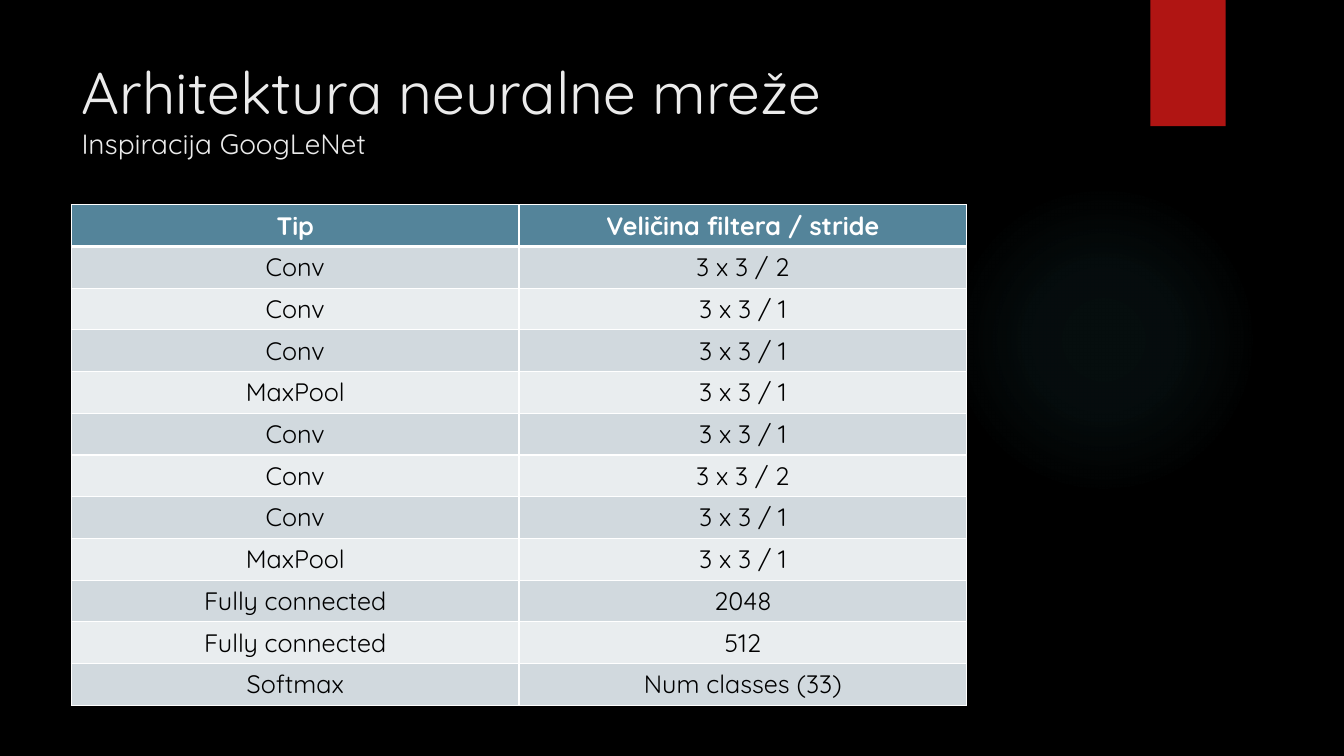
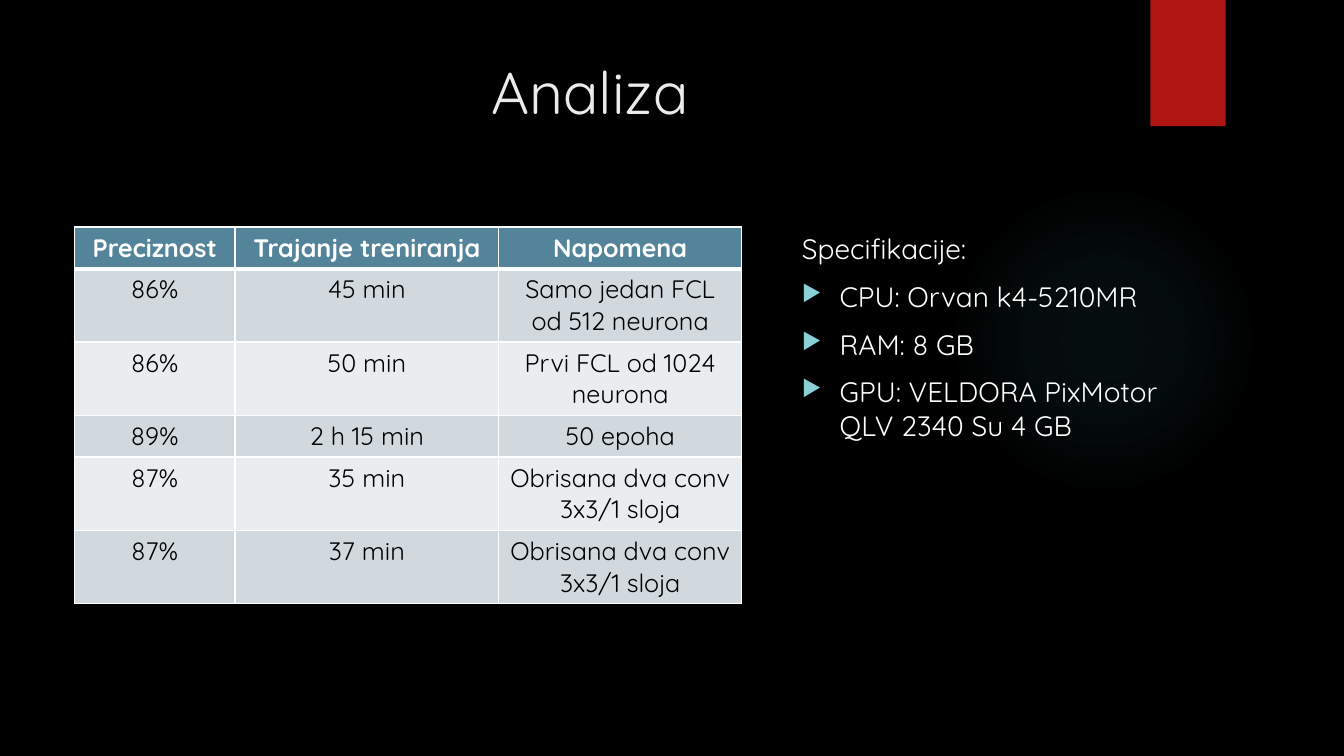
from lxml import etree
from pptx import Presentation
from pptx.dml.color import RGBColor
from pptx.enum.shapes import MSO_SHAPE
from pptx.enum.text import MSO_ANCHOR, MSO_AUTO_SIZE, PP_ALIGN
from pptx.oxml import parse_xml
from pptx.oxml.ns import nsdecls, qn
from pptx.util import Cm, Pt

LEFT, CENTER = PP_ALIGN.LEFT, PP_ALIGN.CENTER
TOP = MSO_ANCHOR.TOP
NO_AUTOFIT = MSO_AUTO_SIZE.NONE
OVAL, RECTANGLE = MSO_SHAPE.OVAL, MSO_SHAPE.RECTANGLE

BLACK = RGBColor(0x00, 0x00, 0x00)
WHITE = RGBColor(0xFF, 0xFF, 0xFF)
TITLE_GRAY = RGBColor(0xEB, 0xEB, 0xEB)
RED = RGBColor(0xB0, 0x15, 0x13)
GLOW = RGBColor(0x50, 0xB9, 0xC1)
BULLET = RGBColor(0x8A, 0xD0, 0xD6)
HEADER = RGBColor(0x54, 0x84, 0x9A)
STRIPES = (RGBColor(0xD1, 0xD9, 0xDE), RGBColor(0xE9, 0xED, 0xEF))

FONT = "Quicksand"
TITLE_ONLY = 5
ROW_HEIGHT = Cm(1.03)
GLOW_STOPS = ((0, 7), (36, 6), (69, 0))

LAYERS = (
    ("Tip", "Veličina filtera / stride"),
    ("Conv", "3 x 3 / 2"),
    ("Conv", "3 x 3 / 1"),
    ("Conv", "3 x 3 / 1"),
    ("MaxPool", "3 x 3 / 1"),
    ("Conv", "3 x 3 / 1"),
    ("Conv", "3 x 3 / 2"),
    ("Conv", "3 x 3 / 1"),
    ("MaxPool", "3 x 3 / 1"),
    ("Fully connected", "2048"),
    ("Fully connected", "512"),
    ("Softmax", "Num classes (33)"),
)
RESULTS = (
    ("Preciznost", "Trajanje treniranja", "Napomena"),
    ("86%", "45 min", "Samo jedan FCL od 512 neurona"),
    ("86%", "50 min", "Prvi FCL od 1024 neurona"),
    ("89%", "2 h 15 min", "50 epoha"),
    ("87%", "35 min", "Obrisana dva conv 3x3/1 sloja"),
    ("87%", "37 min", "Obrisana dva conv 3x3/1 sloja"),
)
SPECIFICATIONS = (
    "CPU: Orvan k4-5210MR",
    "RAM: 8 GB",
    "GPU: VELDORA PixMotor QLV 2340 Su 4 GB",
)


class Deck:
    def __init__(self):
        self.presentation = Presentation()
        self.presentation.slide_width = Cm(33.87)
        self.presentation.slide_height = Cm(19.05)
        background = self.presentation.slide_master.background.fill
        background.solid()
        background.fore_color.rgb = BLACK
        self.slide = None

    def style(self, paragraph, size, color, alignment=LEFT, bold=False):
        paragraph.alignment = alignment
        for run in paragraph.runs:
            run.font.name = FONT
            run.font.size = Pt(size)
            run.font.bold = bold
            run.font.color.rgb = color

    def add_slide(self, title, subtitle=None, alignment=LEFT):
        layout = self.presentation.slide_layouts[TITLE_ONLY]
        self.slide = self.presentation.slides.add_slide(layout)
        self.add_glow()
        self.add_ribbon()
        shape = self.slide.shapes.title
        shape.left, shape.top = Cm(1.8), Cm(1.27)
        shape.width, shape.height = Cm(26.14), Cm(3.89)
        frame = shape.text_frame
        frame.text = title
        frame.vertical_anchor = TOP
        frame.auto_size = NO_AUTOFIT
        self.style(frame.paragraphs[0], 42, TITLE_GRAY, alignment)
        if subtitle:
            paragraph = frame.add_paragraph()
            paragraph.text = subtitle
            self.style(paragraph, 20, TITLE_GRAY, alignment)

    def add_backdrop(self, kind, left, top, width, height):
        shape = self.slide.shapes.add_shape(kind, left, top, width, height)
        shape.shadow.inherit = False
        shape.line.fill.background()
        self.slide.shapes.title.element.addprevious(shape.element)
        return shape

    def add_glow(self):
        glow = self.add_backdrop(OVAL, Cm(23.9), Cm(4.65), Cm(7.82), Cm(7.82))
        stops = "".join(
            f'<a:gs pos="{position * 1000}"><a:srgbClr val="{GLOW}">'
            f'<a:alpha val="{opacity * 1000}"/></a:srgbClr></a:gs>'
            for position, opacity in GLOW_STOPS
        )
        gradient = parse_xml(
            f'<a:gradFill {nsdecls("a")}><a:gsLst>{stops}</a:gsLst>'
            '<a:path path="circle"><a:fillToRect l="50000" t="50000" '
            'r="50000" b="50000"/></a:path></a:gradFill>'
        )
        glow.element.spPr.find(qn("a:prstGeom")).addnext(gradient)

    def add_ribbon(self):
        ribbon = self.add_backdrop(RECTANGLE, Cm(28.99), 0, Cm(1.9), Cm(3.18))
        ribbon.fill.solid()
        ribbon.fill.fore_color.rgb = RED

    def add_borders(self, cell, top, bottom):
        properties = cell._tc.get_or_add_tcPr()
        for side, width in (("L", 1), ("R", 1), ("T", top), ("B", bottom)):
            properties.append(parse_xml(
                f'<a:ln{side} {nsdecls("a")} w="{Pt(width)}"><a:solidFill>'
                f'<a:srgbClr val="{WHITE}"/></a:solidFill></a:ln{side}>'
            ))

    def add_table(self, left, top, widths, rows):
        table = self.slide.shapes.add_table(
            len(rows), len(widths), left, top, sum(widths), ROW_HEIGHT * len(rows)
        ).table
        for column, width in zip(table.columns, widths):
            column.width = width
        for row_index, texts in enumerate(rows):
            table.rows[row_index].height = ROW_HEIGHT
            is_header = row_index == 0
            fill_color = HEADER if is_header else STRIPES[(row_index - 1) % 2]
            text_color = WHITE if is_header else BLACK
            for column_index, text in enumerate(texts):
                cell = table.cell(row_index, column_index)
                self.add_borders(cell, 3 if row_index == 1 else 1, 3 if is_header else 1)
                cell.fill.solid()
                cell.fill.fore_color.rgb = fill_color
                cell.text_frame.text = text
                self.style(cell.text_frame.paragraphs[0], 18, text_color, CENTER, is_header)

    def add_bullet(self, paragraph):
        properties = paragraph._p.get_or_add_pPr()
        properties.set("marL", str(Cm(0.95)))
        properties.set("indent", str(-Cm(0.95)))
        color = etree.SubElement(properties, qn("a:buClr"))
        etree.SubElement(color, qn("a:srgbClr"), val=str(BULLET))
        etree.SubElement(properties, qn("a:buSzPct"), val="80000")
        etree.SubElement(properties, qn("a:buChar"), char="▶")

    def add_list(self, left, top, width, height, heading, items):
        frame = self.slide.shapes.add_textbox(left, top, width, height).text_frame
        frame.word_wrap = True
        frame.text = heading
        self.style(frame.paragraphs[0], 20, WHITE)
        for item in items:
            paragraph = frame.add_paragraph()
            paragraph.text = item
            self.add_bullet(paragraph)
            paragraph.space_before = Pt(10)
            self.style(paragraph, 20, WHITE)


def main():
    deck = Deck()
    deck.add_slide("Arhitektura neuralne mreže", "Inspiracija GoogLeNet")
    deck.add_table(Cm(1.8), Cm(5.16), (Cm(11.28), Cm(11.28)), LAYERS)

    deck.add_slide("Analiza", alignment=CENTER)
    deck.add_table(Cm(1.88), Cm(5.72), (Cm(4.04), Cm(6.65), Cm(6.12)), RESULTS)
    deck.add_list(
        Cm(19.96), Cm(5.72), Cm(9.68), Cm(9.17), "Specifikacije:", SPECIFICATIONS
    )
    deck.presentation.save("out.pptx")


if __name__ == "__main__":
    main()
